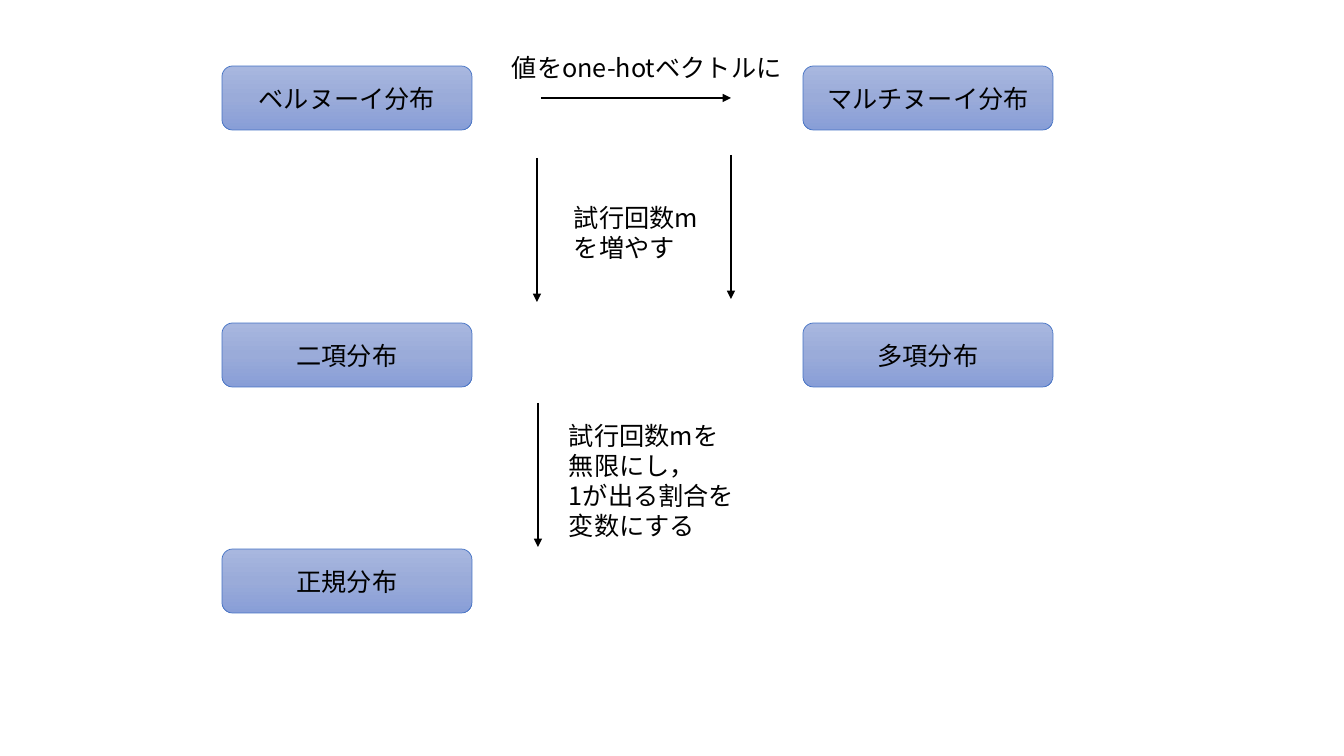
import pptx
import pptx.util
import pptx.oxml
import pptx.oxml.ns
import pptx.dml.color
import pptx.enum.shapes
import pptx.enum.text
from lxml import etree

PX = 914400 / 100.8  # one px in EMU
THEME = {
    "font": "Noto Sans CJK JP",
    "text": "000000",
    "arrow": "000000",
    "border": "4472C4",
    "gradient": ((0, "A8B7DF"), (50, "9AABD9"), (100, "889ED7")),
    "size": 18,
    "leading": 21.6,
    "border_width": 0.5,
    "arrow_width": 1.5,
}


def px(n):
    return pptx.util.Emu(round(n * PX))


def rgb(code):
    return pptx.dml.color.RGBColor.from_string(code)


def add_child(parent, tag, **attrs):
    return etree.SubElement(parent, pptx.oxml.ns.qn(tag), attrs)


def write(tf, lines, align, leading=None):
    for i, line in enumerate(lines):
        p = tf.paragraphs[0] if i == 0 else tf.add_paragraph()
        p.alignment = align
        if leading:
            p.line_spacing = pptx.util.Pt(leading)
        r = p.add_run()
        r.text = line
        fmt = {"name": THEME["font"], "size": pptx.util.Pt(THEME["size"])}
        for key, value in fmt.items():
            setattr(r.font, key, value)
        r.font.color.rgb = rgb(THEME["text"])
        add_child(r.font._element, "a:ea", typeface=THEME["font"])


def fill_gradient(sp):
    sp.fill.gradient()
    grad = sp.fill._xPr.find(pptx.oxml.ns.qn("a:gradFill"))
    for child in list(grad):
        grad.remove(child)
    stops = add_child(grad, "a:gsLst")
    for pos, code in THEME["gradient"]:
        stop = add_child(stops, "a:gs", pos=str(pos * 1000))
        add_child(stop, "a:srgbClr", val=code)
    add_child(grad, "a:lin", ang="5400000", scaled="0")


def add_node(s, name, x, y, w, h):
    sp = s.shapes.add_shape(pptx.enum.shapes.MSO_SHAPE.ROUNDED_RECTANGLE,
                            px(x), px(y), px(w), px(h))
    sp.shadow.inherit = False
    fill_gradient(sp)
    sp.line.color.rgb = rgb(THEME["border"])
    sp.line.width = pptx.util.Pt(THEME["border_width"])
    sp.text_frame.vertical_anchor = pptx.enum.text.MSO_ANCHOR.MIDDLE
    write(sp.text_frame, [name], pptx.enum.text.PP_ALIGN.CENTER)


def add_arrow(s, x, y, dx, dy):
    c = s.shapes.add_connector(pptx.enum.shapes.MSO_CONNECTOR.STRAIGHT,
                               px(x), px(y), px(x + dx), px(y + dy))
    c.line.color.rgb = rgb(THEME["arrow"])
    c.line.width = pptx.util.Pt(THEME["arrow_width"])
    add_child(c.line._get_or_add_ln(), "a:tailEnd", type="triangle")
    add_child(c._element.spPr, "a:effectLst")


def add_caption(s, lines, x, y, w, h):
    tf = s.shapes.add_textbox(px(x), px(y), px(w), px(h)).text_frame
    tf.word_wrap = True
    write(tf, lines, pptx.enum.text.PP_ALIGN.LEFT, THEME["leading"])


def draw_nodes(s, x, y):
    """Distributions in two columns and three rows."""
    columns, rows = (0, 581), (0, 257, 483)
    names = (("ベルヌーイ分布", "二項分布", "正規分布"),
             ("マルチヌーイ分布", "多項分布"))
    for dx, column in zip(columns, names):
        for dy, name in zip(rows, column):
            add_node(s, name, x + dx, y + dy, 250, 64)


def draw_steps(s, x, y):
    """Arrows between the distributions and their captions."""
    # Arrows
    add_arrow(s, x + 39, y + 51, 190, 0)
    for dx, dy in ((35, 111), (229, 108), (36, 356)):
        add_arrow(s, x + dx, y + dy, 0, 144)
    # Captions
    add_caption(s, ["値をone-hotベクトルに"], x, y, 291, 40)
    add_caption(s, ["試行回数m", "を増やす"], x + 62, y + 150, 144, 72)
    add_caption(s, ["試行回数mを", "無限にし，", "1が出る割合を", "変数にする"],
                x + 57, y + 368, 187, 132)


def main():
    prs = pptx.Presentation()
    prs.slide_width, prs.slide_height = px(1344), px(756)
    s = prs.slides.add_slide(prs.slide_layouts[6])
    draw_nodes(s, 222, 66)
    draw_steps(s, 502, 47)
    prs.save("out.pptx")


if __name__ == "__main__":
    main()
